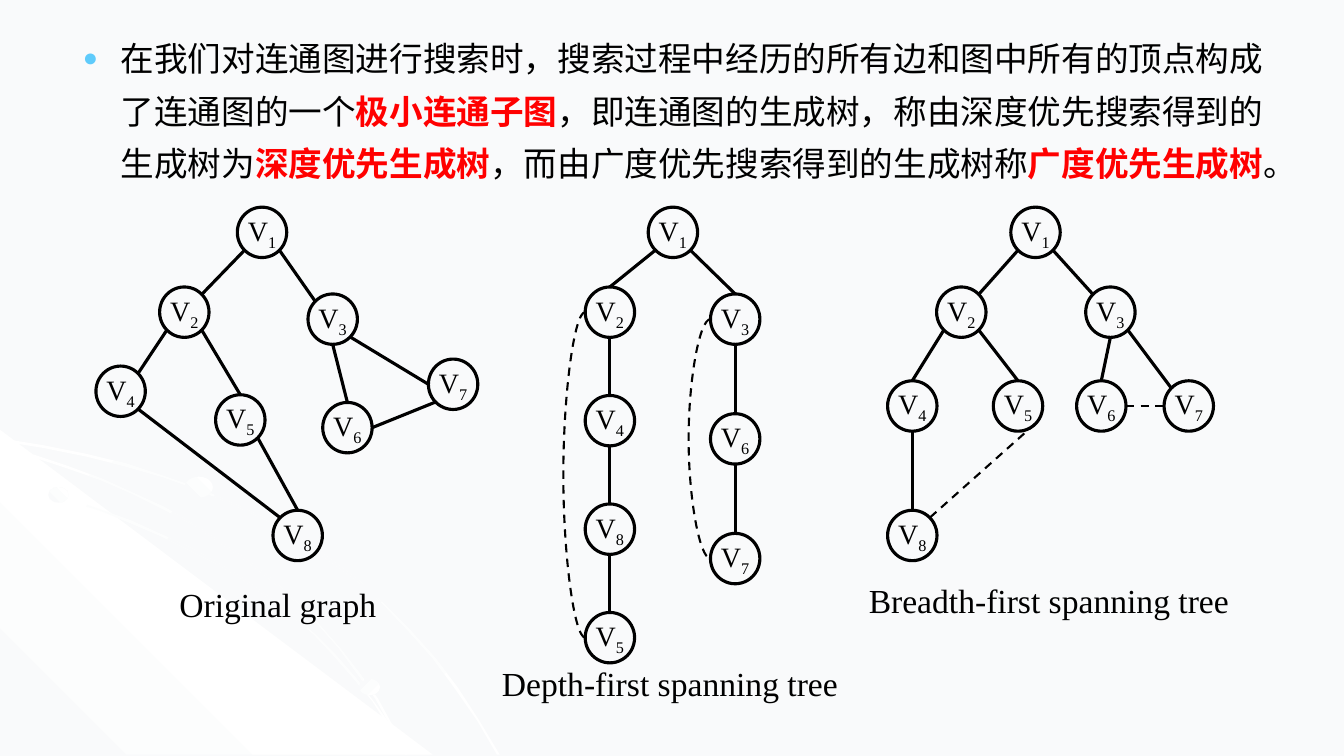
"""Spanning trees of a connected graph: the graph, its depth-first tree and its breadth-first tree."""
from copy import deepcopy

from lxml.etree import SubElement
from pptx import Presentation
from pptx.dml.color import RGBColor
from pptx.enum.dml import MSO_LINE
from pptx.enum.shapes import MSO_CONNECTOR, MSO_SHAPE
from pptx.enum.text import MSO_ANCHOR, MSO_AUTO_SIZE, PP_ALIGN
from pptx.oxml.ns import qn
from pptx.util import Pt

BLACK = RGBColor(0x00, 0x00, 0x00)
RED = RGBColor(0xFF, 0x00, 0x00)
WHITE = RGBColor(0xFF, 0xFF, 0xFF)
MIST = RGBColor(0xF9, 0xFA, 0xFB)
SKY = RGBColor(0x5F, 0xCB, 0xFB)
SANS, SERIF = "Arial", "Times New Roman"

VERTEX_W, VERTEX_H = 35.3, 36
ROOT_TOP, CHILD_TOP, LEAF_TOP, LAST_TOP = 148, 205, 272, 364.5
SITES = {"T": (0.5, 0), "B": (0.5, 1), "L": (0, 0.5), "R": (1, 0.5),
         "TL": (0.15, 0.15), "TR": (0.85, 0.15), "BL": (0.15, 0.85), "BR": (0.85, 0.85)}
ARC_BULGE, ARC_WIDTH = 16.5, 0.12
STEM_STEPS = 16


def paint_gradient(shape, colors, angle):
    shape.shadow.inherit = False
    shape.line.fill.background()
    shape.fill.gradient()
    shape.fill.gradient_angle = angle
    stop_list = shape._element.spPr.find(".//" + qn("a:gsLst"))
    for _ in colors[2:]:
        stop_list.insert(1, deepcopy(stop_list[0]))
    for index, (stop, color) in enumerate(zip(shape.fill.gradient_stops, colors)):
        stop.color.rgb = color
        stop.position = index / (len(colors) - 1)


def add_run(paragraph, text, size, font, color=BLACK, bold=False):
    run = paragraph.add_run()
    run.text = text
    run.font.size = Pt(size)
    run.font.name = font
    run.font.color.rgb = color
    run.font.bold = bold
    return run


deck = Presentation()
deck.slide_width, deck.slide_height = Pt(960), Pt(540)
slide = deck.slides.add_slide(deck.slide_layouts[1])
slide.background.fill.solid()
slide.background.fill.fore_color.rgb = MIST
slide.shapes.title._element.getparent().remove(slide.shapes.title._element)
definition = slide.placeholders[1]

hillside = slide.shapes.build_freeform(0, 307, scale=Pt(1))
hillside.add_line_segments([(309, 539), (0, 539)])
paint_gradient(hillside.convert_to_shape(), (MIST, WHITE, MIST), 45)

stem_curves = [
    [(0, 314), (170, 338), (281, 404), (356, 539)],
    [(0, 342.5), (135, 378), (232, 432), (290, 539)],
    [(0, 319), (135, 353), (240, 429), (290, 539)],
]
for curve in stem_curves:
    upper_edge, lower_edge = [], []
    for step in range(STEM_STEPS + 1):
        t = step / STEM_STEPS
        weights = [(1 - t) ** 3, 3 * t * (1 - t) ** 2, 3 * t ** 2 * (1 - t), t ** 3]
        x = sum(weight * point[0] for weight, point in zip(weights, curve))
        y = sum(weight * point[1] for weight, point in zip(weights, curve))
        upper_edge.append((x + t, y - (1 - t)))
        lower_edge.append((x - t, y + (1 - t)))
    stem = slide.shapes.build_freeform(*upper_edge[0], scale=Pt(1))
    stem.add_line_segments(upper_edge[1:] + lower_edge[::-1])
    paint_gradient(stem.convert_to_shape(), (WHITE, MIST, WHITE), 315)

for left, top, width, height, angle in [
    (34.5, 348, 14.5, 11, 45), (256.5, 485, 15, 11.5, 315), (132, 340.5, 20, 15, 45),
]:
    bud = slide.shapes.add_shape(MSO_SHAPE.OVAL, Pt(left), Pt(top), Pt(width), Pt(height))
    paint_gradient(bud, (MIST, WHITE), angle)

definition.left, definition.top = Pt(52), Pt(15)
definition.width, definition.height = Pt(875), Pt(120)
definition.text_frame.word_wrap = True
definition.text_frame.auto_size = MSO_AUTO_SIZE.NONE
sentence = definition.text_frame.paragraphs[0]
bullet = sentence._p.get_or_add_pPr()
bullet.set("marL", str(Pt(27)))
bullet.set("indent", str(Pt(-27)))
SubElement(SubElement(bullet, qn("a:buClr")), qn("a:srgbClr")).set("val", str(SKY))
SubElement(bullet, qn("a:buSzPct")).set("val", "75000")
SubElement(bullet, qn("a:buFont")).set("typeface", SANS)
SubElement(bullet, qn("a:buChar")).set("char", "●")
sentence.line_spacing = 1.3
sentence.space_before = Pt(0)
for text, is_term in [
    ("在我们对连通图进行搜索时，搜索过程中经历的所有边和图中所有的顶点构成了连通图的一个", False),
    ("极小连通子图", True),
    ("，即连通图的生成树，称由深度优先搜索得到的生成树为", False),
    ("深度优先生成树", True),
    ("，而由广度优先搜索得到的生成树称", False),
    ("广度优先生成树", True),
    ("。", False),
]:
    add_run(sentence, text, 24, SANS, RED if is_term else BLACK, is_term)

left_chain = {number: (418, CHILD_TOP + 77.5 * depth) for depth, number in enumerate([2, 4, 8, 5])}
right_chain = {number: (507.5, 210 + 85.5 * depth) for depth, number in enumerate([3, 6, 7])}
figures = [
    {"caption": "Depth-first spanning tree", "caption_box": (351.5, 470, 260),
     "vertices": {1: (463, ROOT_TOP)} | left_chain | right_chain,
     "edges": [(1, "BL", 2, "T"), (2, "B", 4, "T"), (4, "B", 8, "T"), (8, "B", 5, "T"),
               (1, "BR", 3, "T"), (3, "B", 6, "T"), (6, "B", 7, "T")],
     "unused_edges": [],
     "unused_arcs": [(2, "L", 5, "L"), (3, "L", 7, "L")]},
    {"caption": "Breadth-first spanning tree", "caption_box": (613.5, 411, 271.5),
     "vertices": {1: (722, ROOT_TOP), 2: (669, CHILD_TOP), 3: (775.5, CHILD_TOP),
                  4: (634, LEAF_TOP), 5: (709.5, LEAF_TOP), 6: (769, LEAF_TOP),
                  7: (831.5, LEAF_TOP), 8: (634, LAST_TOP)},
     "edges": [(1, "BL", 2, "TR"), (1, "BR", 3, "TL"), (2, "BL", 4, "T"), (2, "BR", 5, "T"),
               (3, "B", 6, "T"), (3, "BR", 7, "TL"), (4, "B", 8, "T")],
     "unused_edges": [(5, "BR", 8, "TR"), (6, "R", 7, "L")],
     "unused_arcs": []},
    {"caption": "Original graph", "caption_box": (121, 413.5, 155),
     "vertices": {1: (169.5, ROOT_TOP), 2: (114, CHILD_TOP), 3: (220, 210), 4: (68.5, 261.5),
                  5: (154, 282), 6: (230.5, 287.5), 7: (306, 256.5), 8: (195, LAST_TOP)},
     "edges": [(1, "BL", 2, "TR"), (1, "BR", 3, "TL"), (2, "BL", 4, "TR"), (2, "BR", 5, "T"),
               (3, "B", 6, "T"), (3, "BR", 7, "L"), (4, "BR", 8, "TL"), (5, "BR", 8, "T"),
               (6, "R", 7, "BL")],
     "unused_edges": [],
     "unused_arcs": []},
]
edge_styles = [
    ("edges", MSO_CONNECTOR.STRAIGHT, 2.25, MSO_LINE.SOLID),
    ("unused_edges", MSO_CONNECTOR.STRAIGHT, 1.5, MSO_LINE.DASH),
    ("unused_arcs", MSO_CONNECTOR.CURVE, 1.5, MSO_LINE.DASH),
]

for figure in figures:
    graph = slide.shapes.add_group_shape().shapes
    vertices = figure["vertices"]
    for number, (left, top) in vertices.items():
        vertex = graph.add_shape(MSO_SHAPE.OVAL, Pt(left), Pt(top), Pt(VERTEX_W), Pt(VERTEX_H))
        vertex.shadow.inherit = False
        vertex.fill.background()
        vertex.line.color.rgb = BLACK
        vertex.line.width = Pt(2.25)
        vertex.text_frame.word_wrap = False
        vertex.text_frame.vertical_anchor = MSO_ANCHOR.MIDDLE
        label = vertex.text_frame.paragraphs[0]
        label.alignment = PP_ALIGN.CENTER
        add_run(label, "V", 20, SERIF)
        subscript = add_run(label, str(number), 20, SERIF)
        subscript._r.get_or_add_rPr().set("baseline", "-25000")

    for role, connector, weight, dash in edge_styles:
        for start, start_site, end, end_site in figure[role]:
            (x1, y1), (x2, y2) = [
                (vertices[number][0] + VERTEX_W * SITES[site][0],
                 vertices[number][1] + VERTEX_H * SITES[site][1])
                for number, site in [(start, start_site), (end, end_site)]]
            if role == "unused_arcs":
                x2 = x1 + ARC_WIDTH
            edge = graph.add_connector(connector, Pt(x1), Pt(y1), Pt(x2), Pt(y2))
            edge.line.color.rgb = BLACK
            edge.line.width = Pt(weight)
            edge.line.dash_style = dash
            SubElement(edge._element.spPr, qn("a:effectLst"))
            if role == "unused_arcs":
                geometry = edge._element.spPr.find(qn("a:prstGeom"))
                bend = SubElement(geometry.get_or_add_avLst(), qn("a:gd"))
                bend.set("name", "adj1")
                bend.set("fmla", f"val {round(-ARC_BULGE / ARC_WIDTH * 100000)}")

    caption_left, caption_top, caption_width = figure["caption_box"]
    caption = graph.add_textbox(Pt(caption_left), Pt(caption_top), Pt(caption_width), Pt(36))
    caption.text_frame.word_wrap = False
    add_run(caption.text_frame.paragraphs[0], figure["caption"], 24, SERIF)

deck.save("out.pptx")
